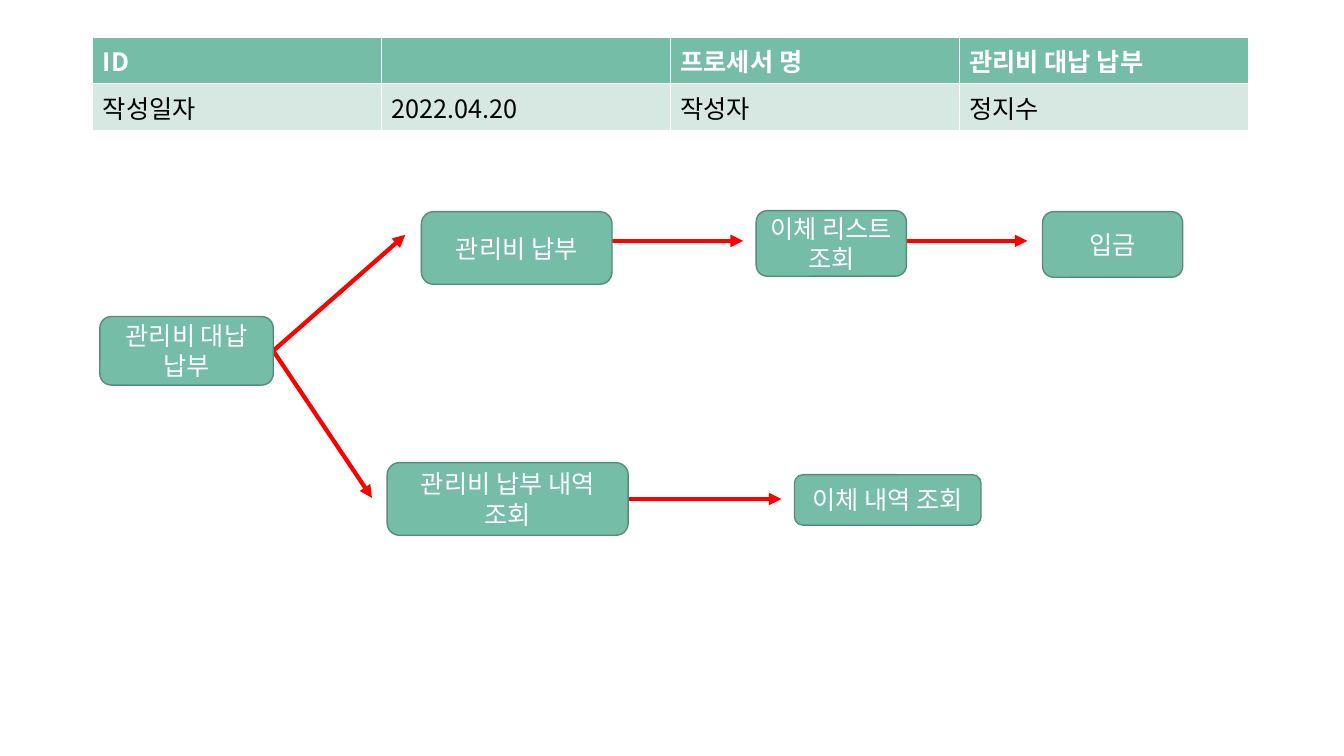
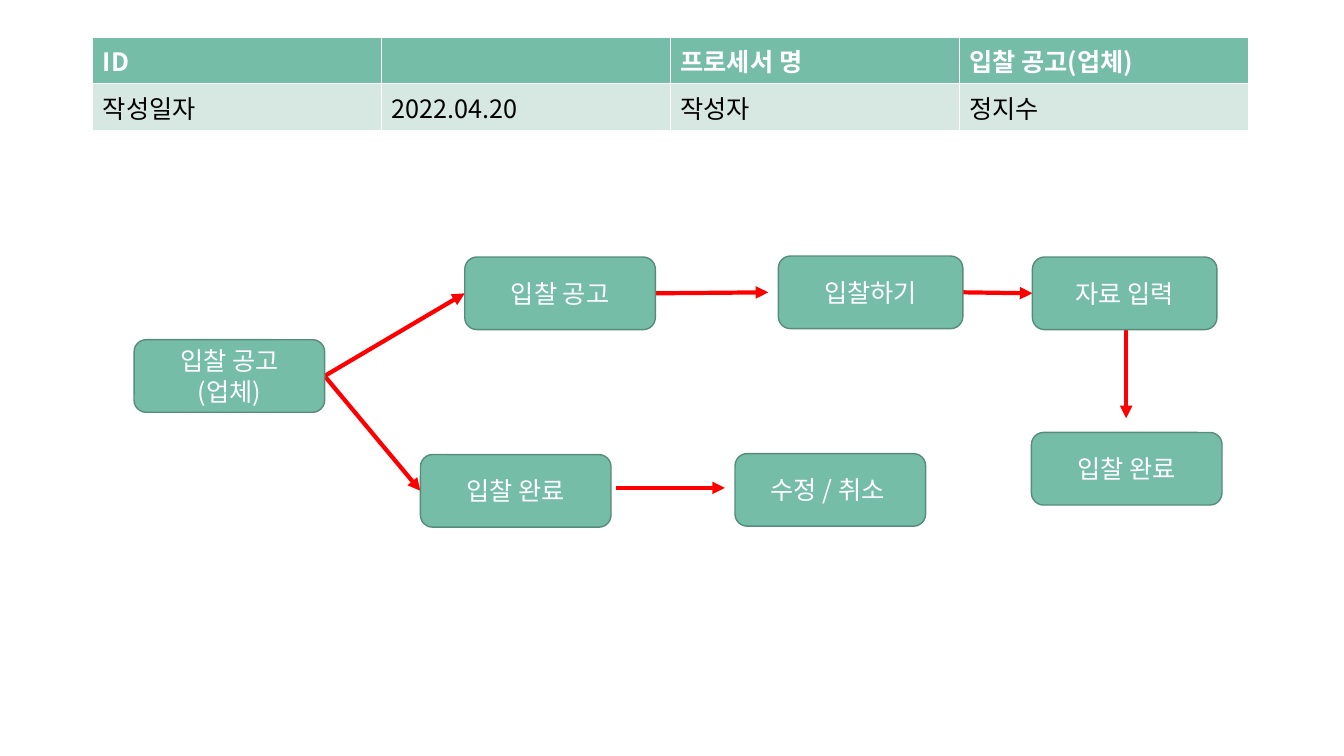
from pptx import Presentation
from pptx.dml.color import RGBColor
from pptx.enum.shapes import MSO_CONNECTOR, MSO_SHAPE
from pptx.enum.text import MSO_ANCHOR, PP_ALIGN
from pptx.oxml.ns import qn
from pptx.util import Inches, Pt
from lxml.etree import SubElement

FONT = "Noto Sans CJK KR"
GREEN, PALE, EDGE = "75BDA7", "D6E8E1", "578C7C"
RED, WHITE, BLACK = "FF0000", "FFFFFF", "000000"


def tint(part, code):
    part.rgb = RGBColor.from_string(code)


def write(para, text, code, bold=False):
    run = para.add_run()
    run.text = text
    run.font.name = FONT
    run.font.size = Pt(18)
    run.font.bold = bold
    tint(run.font.color, code)
    return run


pages = [
    (
        "관리비 대납 납부",
        [
            (0.99, 3.14, 1.72, 0.68, ["관리비 대납 납부"]),
            (4.18, 2.1, 1.89, 0.72, ["관리비 납부"]),
            (7.5, 2.09, 1.49, 0.65, ["이체 리스트 조회"]),
            (10.34, 2.1, 1.39, 0.65, ["입금"]),
            (3.84, 4.59, 2.39, 0.72, ["관리비 납부 내역 조회"]),
            (7.88, 4.71, 1.85, 0.5, ["이체 내역 조회"]),
        ],
        [
            (2.71, 3.48, 4.02, 2.33),
            (2.71, 3.48, 3.69, 4.94),
            (6.04, 2.39, 7.37, 2.39),
            (8.99, 2.39, 10.19, 2.39),
            (6.22, 4.95, 7.75, 4.95),
        ],
    ),
    (
        "입찰 공고(업체)",
        [
            (1.33, 3.37, 1.89, 0.72, ["입찰 공고", "(업체)"]),
            (4.61, 2.55, 1.89, 0.72, ["입찰 공고"]),
            (7.72, 2.54, 1.83, 0.72, ["입찰하기"]),
            (10.24, 2.55, 1.83, 0.72, ["자료 입력"]),
            (10.23, 4.29, 1.89, 0.72, ["입찰 완료"]),
            (4.17, 4.51, 1.89, 0.72, ["입찰 완료"]),
            (7.29, 4.5, 1.89, 0.72, ["수정 / 취소 "]),
        ],
        [
            (3.22, 3.73, 4.61, 2.91),
            (3.22, 3.73, 4.17, 4.87),
            (6.5, 2.91, 7.62, 2.9),
            (9.55, 2.9, 10.24, 2.91),
            (11.17, 3.26, 11.17, 4.15),
            (6.11, 4.84, 7.19, 4.84),
        ],
    ),
]

deck = Presentation()
deck.slide_width, deck.slide_height = Inches(13.33), Inches(7.5)

for title, boxes, arrows in pages:
    slide = deck.slides.add_slide(deck.slide_layouts[6])

    rows = [
        (0.43, GREEN, WHITE, ["ID", "", "프로세서 명", title]),
        (0.41, PALE, BLACK, ["작성일자", "2022.04.20", "작성자", "정지수"]),
    ]
    frame = slide.shapes.add_table(
        2, 4, Inches(0.92), Inches(0.37), Inches(11.46), Inches(0.84)
    )
    grid = frame.table
    for r, (high, fill, ink, words) in enumerate(rows):
        grid.rows[r].height = Inches(high)
        for c, word in enumerate(words):
            cell = grid.cell(r, c)
            cell.fill.solid()
            tint(cell.fill.fore_color, fill)
            if word:
                run = write(cell.text_frame.paragraphs[0], word, ink, r == 0)
                SubElement(run.font._element, qn("a:ea")).set("typeface", FONT)

    for ends in arrows:
        arrow = slide.shapes.add_connector(
            MSO_CONNECTOR.STRAIGHT, *[Inches(n) for n in ends]
        )
        arrow.line.width = Pt(3)
        tint(arrow.line.color, RED)
        SubElement(arrow.line._get_or_add_ln(), qn("a:tailEnd")).set("type", "triangle")
        SubElement(arrow._element.spPr, qn("a:effectLst"))

    for *place, lines in boxes:
        box = slide.shapes.add_shape(
            MSO_SHAPE.ROUNDED_RECTANGLE, *[Inches(n) for n in place]
        )
        box.shadow.inherit = False
        box.fill.solid()
        tint(box.fill.fore_color, GREEN)
        box.line.width = Pt(1)
        tint(box.line.color, EDGE)
        body = box.text_frame
        body.word_wrap = True
        body.vertical_anchor = MSO_ANCHOR.MIDDLE
        for i, line in enumerate(lines):
            para = body.add_paragraph() if i else body.paragraphs[0]
            para.alignment = PP_ALIGN.CENTER
            write(para, line, WHITE)

deck.save("out.pptx")
